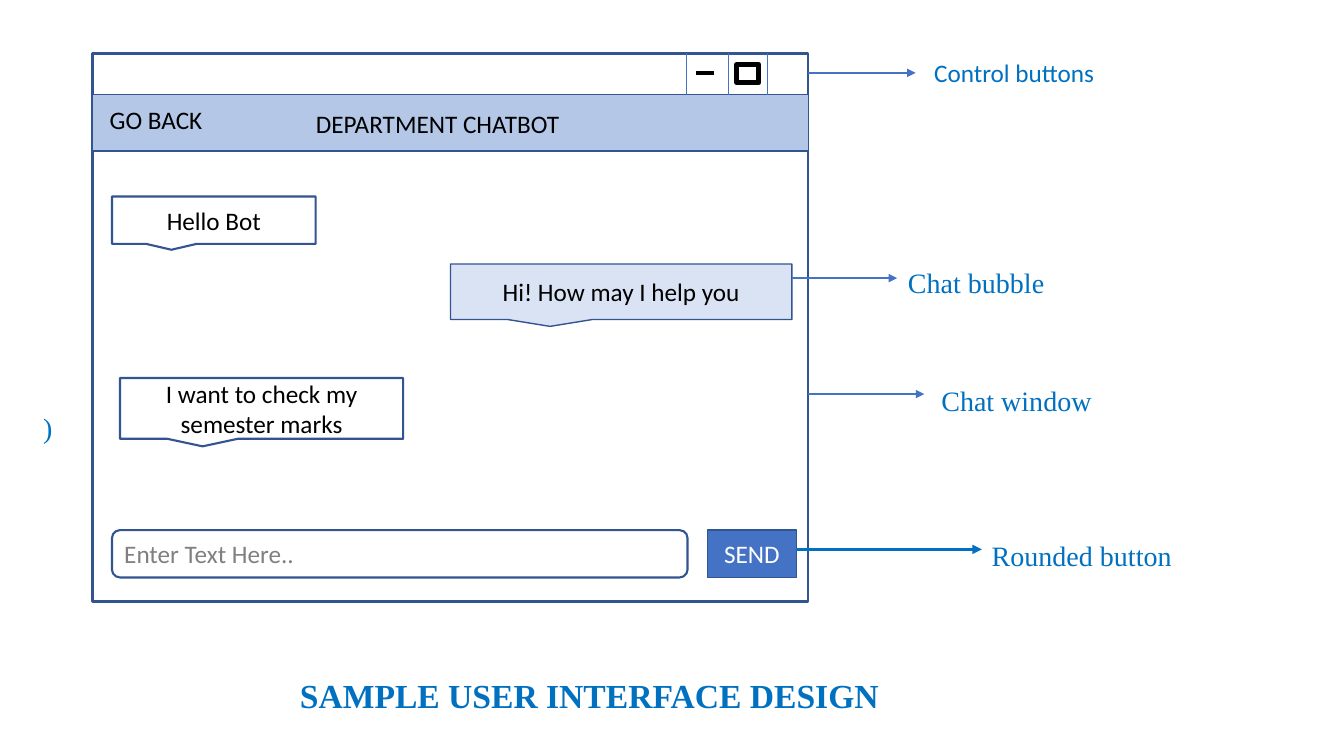
from pptx import Presentation
from pptx.dml.color import RGBColor
from pptx.enum.shapes import MSO_CONNECTOR, MSO_SHAPE as Shape
from pptx.enum.text import MSO_ANCHOR as Anchor, PP_ALIGN as Align
from pptx.oxml.ns import qn
from pptx.util import Pt
from lxml import etree

COLORS = {
    "white": "FFFFFF", "black": "000000", "gray": "808080", "edge": "325491",
    "blue": "4472C4", "bright": "0070C0", "header": "B4C7E7", "reply": "DAE3F3",
}
SANS, SERIF = "Calibri", "Times New Roman"


def color(name):
    return RGBColor.from_string(COLORS[name])


def write(shape, text, tint, size=18, font=SANS, align=Align.LEFT,
          anchor=Anchor.TOP, bold=False):
    frame = shape.text_frame
    frame.word_wrap = True
    frame.vertical_anchor = anchor
    para = frame.paragraphs[0]
    para.alignment = align
    span = para.add_run()
    span.text = text
    span.font.color.rgb = color(tint)
    for name, value in {"name": font, "size": Pt(size), "bold": bold}.items():
        setattr(span.font, name, value)


deck = Presentation()
deck.slide_width, deck.slide_height = Pt(960), Pt(540)
page = deck.slides.add_slide(deck.slide_layouts[5])

# Title below the mock-up
title = page.shapes.title
title.left, title.top, title.width, title.height = Pt(207), Pt(476), Pt(535), Pt(41)
write(title, "SAMPLE USER INTERFACE DESIGN", "bright", 24, SERIF,
      anchor=Anchor.MIDDLE, bold=True)

# Chat window: kind, box, fill, line colour, line width, text, text colour, alignment
LEFT, TOP, RIGHT, BOTTOM = 66.2, 38.2, 577.4, 429.8
BAR_BOTTOM, HEADER_BOTTOM = 67.7, 108
callout = Shape.RECTANGULAR_CALLOUT
parts = [
    (Shape.RECTANGLE, (LEFT, TOP, RIGHT - LEFT, BOTTOM - TOP),
     "white", "edge", 1.75, "", "black", Align.CENTER),
    (Shape.RECTANGLE, (LEFT, BAR_BOTTOM, RIGHT - LEFT, HEADER_BOTTOM - BAR_BOTTOM),
     "header", "edge", 1, "", "black", Align.CENTER),
    (Shape.RECTANGLE, (526.3, 46.1, 15.8, 13),
     "white", "black", 3.5, "", "black", Align.CENTER),
    (callout, (80, 140.4, 145.5, 33.8),
     "white", "edge", 1.5, "Hello Bot", "black", Align.CENTER),
    (callout, (321.8, 188.6, 243.9, 39.6),
     "reply", "edge", 1, "Hi! How may I help you", "black", Align.CENTER),
    (callout, (85.7, 270, 202.3, 43.4),
     "white", "edge", 1.5, "I want to check my semester marks", "black", Align.CENTER),
    (Shape.ROUNDED_RECTANGLE, (80, 378.7, 411.1, 33.8),
     "white", "edge", 1.5, "Enter Text Here..", "gray", Align.LEFT),
    (Shape.RECTANGLE, (505.4, 378.7, 63.4, 33.8),
     "blue", "edge", 1, "SEND", "white", Align.CENTER),
]
for kind, box, fill, edge, width, text, tint, align in parts:
    shape = page.shapes.add_shape(kind, *map(Pt, box))
    shape.shadow.inherit = False
    shape.fill.solid()
    shape.fill.fore_color.rgb = color(fill)
    shape.line.color.rgb = color(edge)
    shape.line.width = Pt(width)
    if text:
        write(shape, text, tint, align=align, anchor=Anchor.MIDDLE)

# Button dividers, minimise sign and callout arrows
lines = [(x, TOP, x, BAR_BOTTOM, "blue", 0.5, False) for x in (490.3, 520.6, 547.9)]
lines += [
    (497.5, 52.1, 510, 52.1, "black", 3, False),
    (RIGHT, 52.1, 654, 52.1, "blue", 1.5, True),
    (565.5, 198.7, 640.8, 198.7, "blue", 1.5, True),
    (RIGHT, 281.5, 660.2, 281.5, "blue", 1.5, True),
    (568.8, 392.4, 701.3, 392.4, "bright", 2.25, True),
]
for x1, y1, x2, y2, tint, width, arrow in lines:
    line = page.shapes.add_connector(MSO_CONNECTOR.STRAIGHT, *map(Pt, (x1, y1, x2, y2)))
    line.line.color.rgb = color(tint)
    line.line.width = Pt(width)
    if arrow:
        etree.SubElement(line.line._get_or_add_ln(), qn("a:tailEnd"), type="triangle")
    etree.SubElement(line._element.spPr, qn("a:effectLst"))

# Header texts and labels
labels = [
    ("GO BACK", (71.3, 71.3, 88, 29), "black", 18, SANS),
    ("DEPARTMENT CHATBOT", (218.5, 73.8, 226, 29), "black", 18, SANS),
    ("Control buttons", (660.2, 37.4, 151, 29), "bright", 18, SANS),
    ("Chat bubble", (641.5, 185.8, 122, 32), "bright", 20, SERIF),
    ("Chat window", (665.3, 270.7, 132, 32), "bright", 20, SERIF),
    ("Rounded button", (701.3, 380.9, 157, 32), "bright", 20, SERIF),
    (")", (23.8, 290, 30, 32), "bright", 20, SERIF),
]
for text, box, tint, size, font in labels:
    write(page.shapes.add_textbox(*map(Pt, box)), text, tint, size, font)

deck.save("out.pptx")
